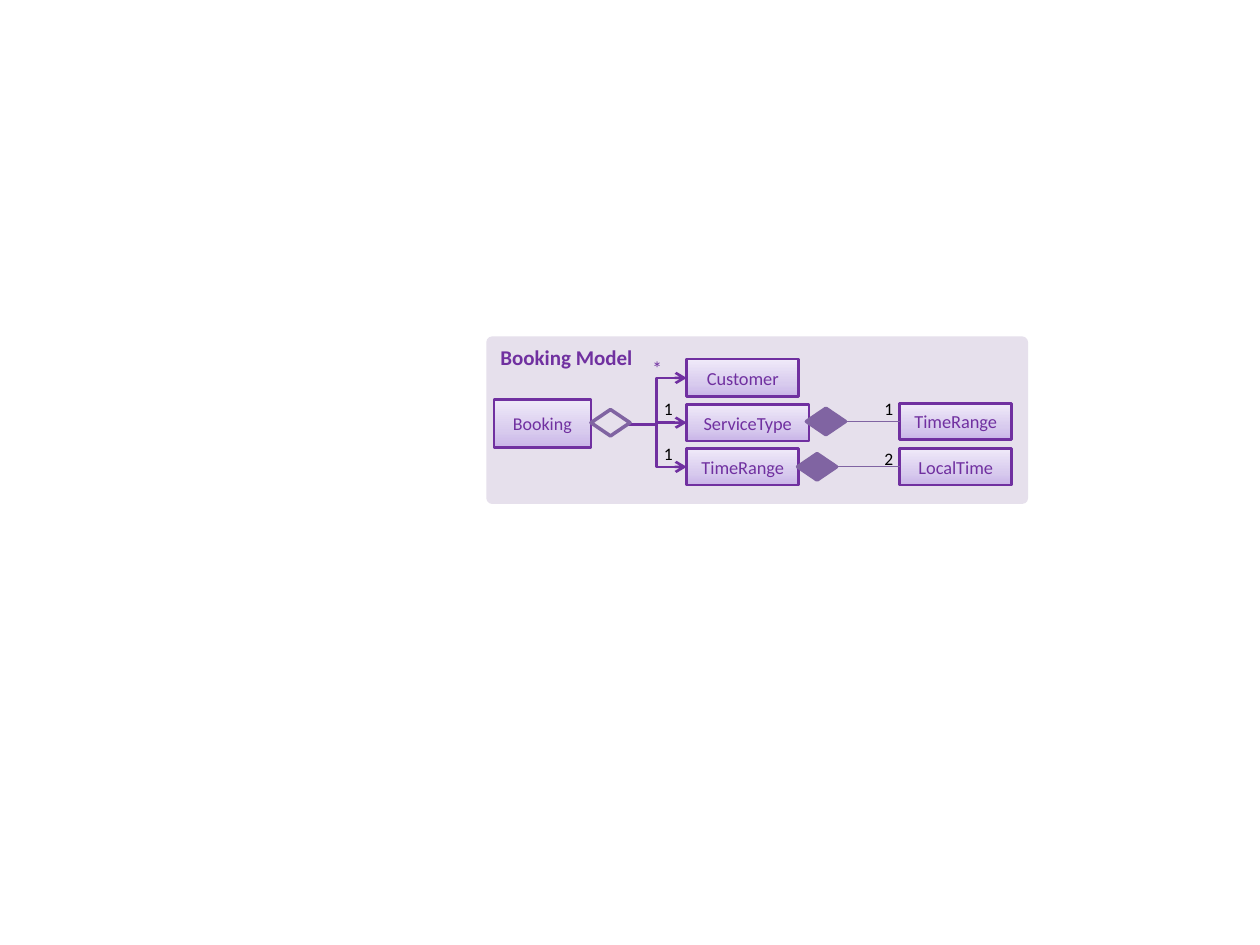
from copy import deepcopy

from lxml import etree
from pptx import Presentation
from pptx.dml.color import RGBColor
from pptx.enum.shapes import MSO_CONNECTOR, MSO_SHAPE
from pptx.enum.text import MSO_ANCHOR, MSO_AUTO_SIZE, PP_ALIGN
from pptx.oxml.ns import qn
from pptx.util import Inches, Pt

RECTANGLE, DIAMOND = MSO_SHAPE.RECTANGLE, MSO_SHAPE.DIAMOND
ROUNDED = MSO_SHAPE.ROUNDED_RECTANGLE
STRAIGHT, ELBOW = MSO_CONNECTOR.STRAIGHT, MSO_CONNECTOR.ELBOW
LEFT, CENTER = PP_ALIGN.LEFT, PP_ALIGN.CENTER
TOP, MIDDLE = MSO_ANCHOR.TOP, MSO_ANCHOR.MIDDLE
GROW = MSO_AUTO_SIZE.SHAPE_TO_FIT_TEXT
LEFT_SIDE, RIGHT_SIDE = 1, 3

PURPLE = RGBColor(0x70, 0x30, 0xA0)
MUTED_PURPLE = RGBColor(0x80, 0x64, 0xA2)
PANEL_FILL = RGBColor(0xE6, 0xE0, 0xEC)
BLACK = RGBColor(0, 0, 0)
CLASS_GRADIENT = [
    (0, RGBColor(0xC9, 0xB5, 0xE8)),
    (0.35, RGBColor(0xD8, 0xCB, 0xEE)),
    (1, RGBColor(0xF0, 0xEA, 0xF9)),
]


def write_text(shape, text, size=10.5, color=PURPLE, bold=False,
               align=CENTER, anchor=MIDDLE):
    frame = shape.text_frame
    frame.word_wrap = True
    frame.vertical_anchor = anchor
    paragraph = frame.paragraphs[0]
    paragraph.alignment = align
    run = paragraph.add_run()
    run.text = text
    run.font.name = "Calibri"
    run.font.size = Pt(size)
    run.font.bold = bold
    run.font.color.rgb = color


def add_class(slide, name, left, top, width, height, size=10.5):
    box = slide.shapes.add_shape(RECTANGLE, left, top, width, height)
    box.shadow.inherit = False
    box.fill.gradient()
    box.fill.gradient_angle = 90
    # The default gradient has two stops; a third is needed
    stop_list = box._element.spPr.find(qn("a:gradFill")).find(qn("a:gsLst"))
    stop_list.append(deepcopy(stop_list[-1]))
    for stop, (position, color) in zip(box.fill.gradient_stops, CLASS_GRADIENT):
        stop.position = position
        stop.color.rgb = color
    box.line.color.rgb = PURPLE
    box.line.width = Pt(1.5)
    write_text(box, name, size=size)
    return box


def add_diamond(slide, left, top, filled=True):
    diamond = slide.shapes.add_shape(DIAMOND, left, top, Inches(0.31), Inches(0.21))
    diamond.shadow.inherit = False
    if filled:
        diamond.fill.solid()
        diamond.fill.fore_color.rgb = MUTED_PURPLE
    else:
        diamond.fill.background()
    diamond.line.color.rgb = MUTED_PURPLE
    diamond.line.width = Pt(2)
    return diamond


def add_link(slide, kind, start, target, color, width, arrow=False):
    """Link a start point to the middle of the target's left side."""
    link = slide.shapes.add_connector(
        kind, *start, target.left, target.top + target.height // 2)
    link.end_connect(target, LEFT_SIDE)
    link.line.color.rgb = color
    link.line.width = Pt(width)
    properties = link._element.spPr
    if arrow:
        etree.SubElement(properties.find(qn("a:ln")), qn("a:tailEnd"), type="arrow")
    etree.SubElement(properties, qn("a:effectLst"))
    return link


def add_multiplicity(slide, text, left, top):
    label = slide.shapes.add_textbox(left, top, Inches(0.22), Inches(0.27))
    write_text(label, text, size=10, color=BLACK, align=LEFT, anchor=TOP)
    label.text_frame.auto_size = GROW


def draw_booking_model(slide, left, top, width, height):
    def at(x, y):
        return left + Inches(x), top + Inches(y)

    class_size = Inches(0.89), Inches(0.29)

    # Panel with title
    panel = slide.shapes.add_shape(ROUNDED, left, top, width, height)
    panel.adjustments[0] = 0.035
    panel.shadow.inherit = False
    panel.fill.solid()
    panel.fill.fore_color.rgb = PANEL_FILL
    panel.line.fill.background()
    write_text(panel, "Booking Model", size=12, bold=True, align=LEFT, anchor=TOP)

    # Booking and the classes it aggregates
    add_class(slide, "Booking", *at(0.06, 0.5), Inches(0.77), Inches(0.38), size=10.3)
    customer = add_class(slide, "Customer", *at(1.59, 0.18), Inches(0.89), Inches(0.3))
    service_type = add_class(slide, "ServiceType", *at(1.59, 0.54),
                             Inches(0.97), Inches(0.29))
    time_range = add_class(slide, "TimeRange", *at(1.59, 0.89), *class_size)
    for member in (customer, service_type, time_range):
        add_link(slide, ELBOW, at(1.11, 0.7), member, PURPLE, 1.5, arrow=True)
    add_diamond(slide, *at(0.83, 0.58), filled=False)

    # Composed classes
    for name, class_top, diamond_at in (
        ("TimeRange", 0.53, (2.54, 0.57)),
        ("LocalTime", 0.89, (2.47, 0.93)),
    ):
        part = add_class(slide, name, *at(3.28, class_top), *class_size)
        diamond = add_diamond(slide, *at(*diamond_at))
        start = diamond.left + diamond.width, diamond.top + diamond.height // 2
        link = add_link(slide, STRAIGHT, start, part, MUTED_PURPLE, 0.75)
        link.begin_connect(diamond, RIGHT_SIDE)

    # Multiplicities
    many = slide.shapes.add_textbox(*at(1.25, 0.16), Inches(0.21), Inches(0.2))
    frame = many.text_frame
    frame.margin_left = frame.margin_right = frame.margin_top = frame.margin_bottom = 0
    write_text(many, "*", size=11, anchor=TOP)
    for text, x, y in (("2", 3.06, 0.84), ("1", 3.06, 0.44),
                       ("1", 1.31, 0.44), ("1", 1.31, 0.8)):
        add_multiplicity(slide, text, *at(x, y))


def main():
    presentation = Presentation()
    presentation.slide_width = Inches(10)
    presentation.slide_height = Inches(7.5)
    slide = presentation.slides.add_slide(presentation.slide_layouts[6])
    draw_booking_model(slide, Inches(3.86), Inches(2.67), Inches(4.3), Inches(1.33))
    presentation.save("out.pptx")


if __name__ == "__main__":
    main()
